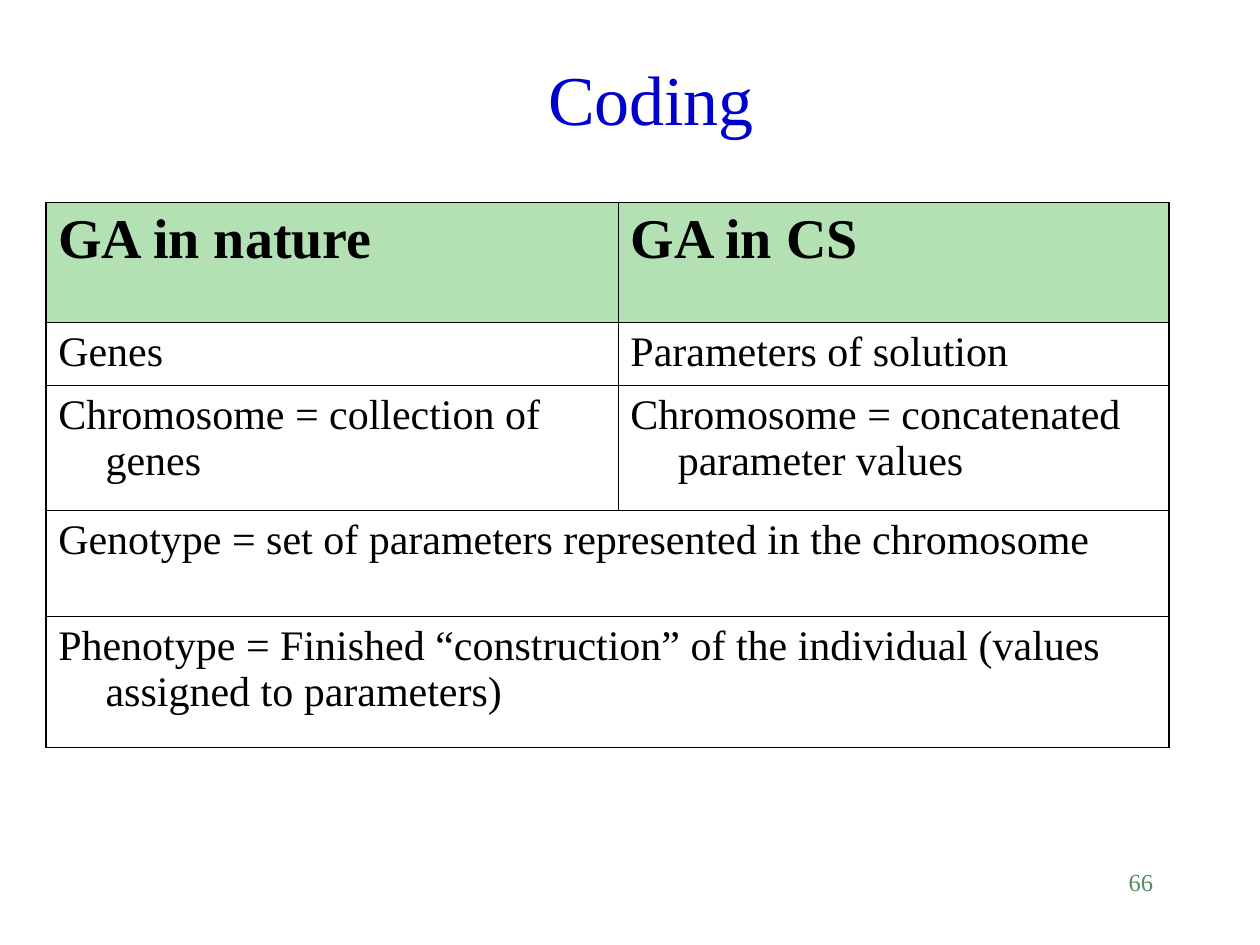
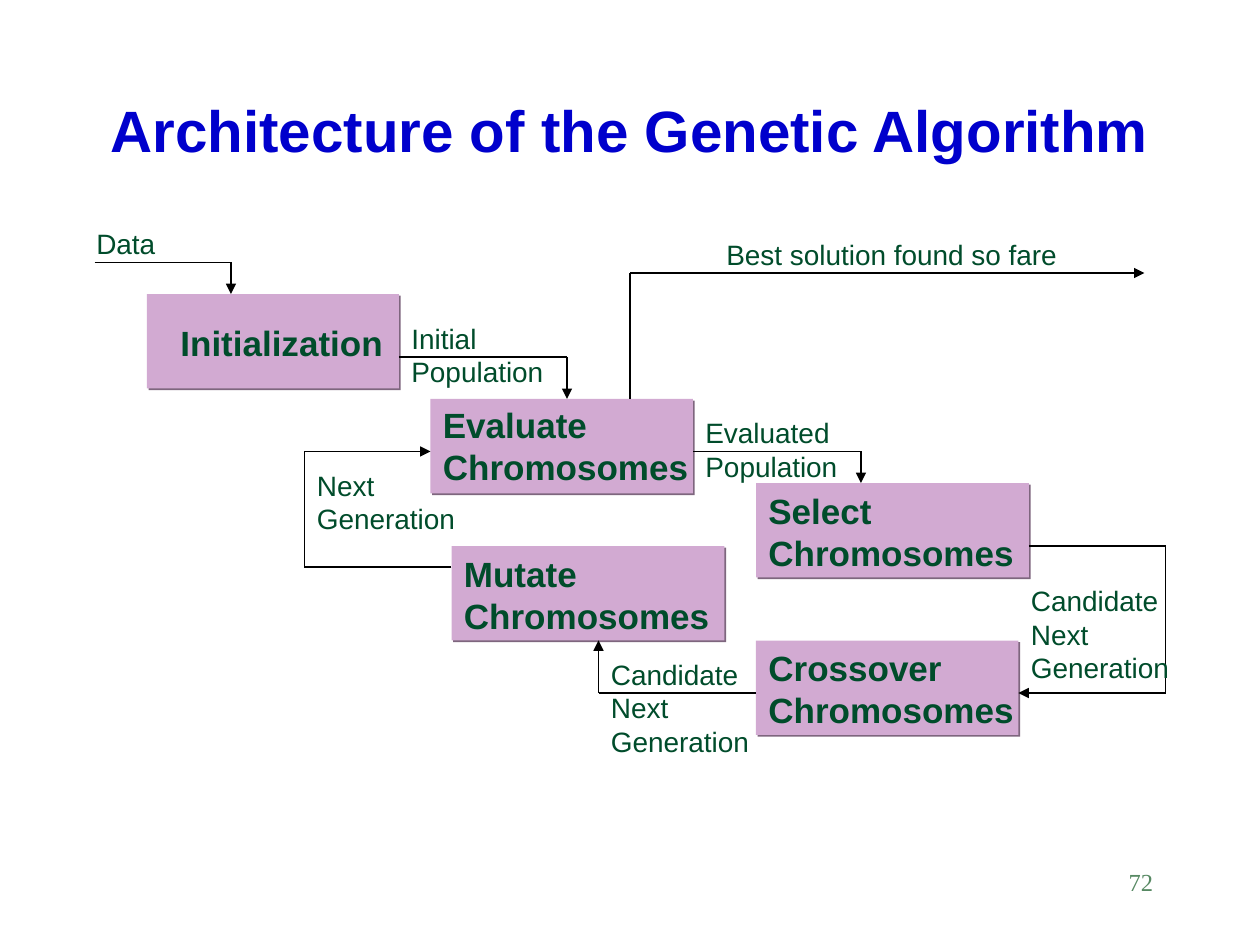
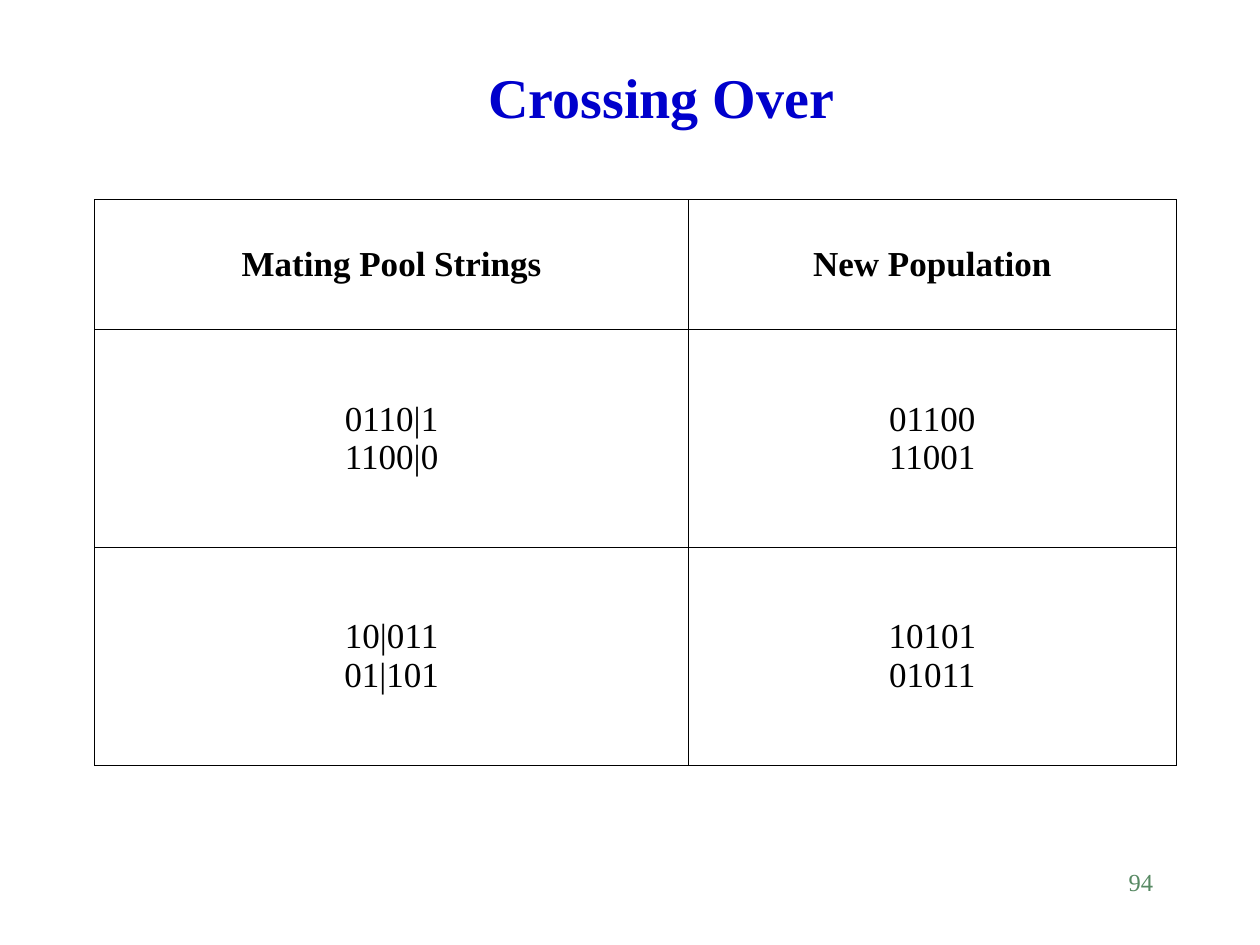
import dataclasses
import itertools

import lxml.etree
import pptx
import pptx.dml.color
import pptx.enum.shapes
import pptx.enum.text
import pptx.oxml.ns
import pptx.util

ALIGN = pptx.enum.text.PP_ALIGN
ANCHOR = pptx.enum.text.MSO_ANCHOR
AUTO_SIZE = pptx.enum.text.MSO_AUTO_SIZE
qn = pptx.oxml.ns.qn


@dataclasses.dataclass(frozen=True)
class Theme:
    # Fonts
    serif: str = "Times New Roman"
    sans: str = "Arial"
    # Colours
    title: str = "0000CC"
    number: str = "578963"
    ink: str = "000000"
    label: str = "004C2B"
    stage: str = "D2AAD2"
    shade: str = "7E667E"
    header: str = "B3E1B3"
    # Type sizes and line widths in points
    number_size: float = 14
    stage_size: float = 20
    label_size: float = 16
    route: float = 0.75
    inner: float = 0.45
    outer: float = 1.08


def grid(cells):
    """Length of grid cells; the slide is 120 columns by 90 rows."""
    return pptx.util.Inches(cells / 12)


def rgb(colour):
    return pptx.dml.color.RGBColor.from_string(colour)


def add_xml(parent, tag, **attributes):
    child = lxml.etree.SubElement(parent, qn(tag))
    for name, value in attributes.items():
        child.set(name, str(value))
    return child


class Builder:
    def __init__(self, deck, theme):
        self.deck = deck
        self.theme = theme
        self.page = None

    def style(self, frame, size, font, colour, bold=False, align=ALIGN.LEFT):
        frame.word_wrap = True
        for para in frame.paragraphs:
            para.alignment = align
            para.font.size = pptx.util.Pt(size)
            para.font.name = font
            para.font.bold = bold
            para.font.color.rgb = rgb(colour)

    def new_page(self, number):
        self.page = self.deck.slides.add_slide(self.deck.slide_layouts[5])
        self.text(str(number), 86, 82, 25, 6, self.theme.number_size,
                  self.theme.serif, self.theme.number, align=ALIGN.RIGHT)

    def title(self, text, area, size, font, bold=False, anchor=ANCHOR.BOTTOM):
        box = self.page.shapes.title
        box.left, box.top, box.width, box.height = map(grid, area)
        frame = box.text_frame
        frame.text = text
        frame.auto_size = AUTO_SIZE.NONE
        frame.vertical_anchor = anchor
        self.style(frame, size, font, self.theme.title, bold, ALIGN.CENTER)
        return frame

    def text(self, text, left, top, width, height, size, font, colour,
             bold=False, align=ALIGN.LEFT):
        box = self.page.shapes.add_textbox(*map(grid, (left, top, width, height)))
        box.text_frame.text = text
        self.style(box.text_frame, size, font, colour, bold, align)
        return box

    def label(self, text, left, top, width, lines):
        box = self.text(text, left, top, width, 1.2 + 3.2 * lines,
                        self.theme.label_size, self.theme.sans, self.theme.label)
        box.text_frame.auto_size = AUTO_SIZE.SHAPE_TO_FIT_TEXT

    def stage(self, text, left, top, width, text_area):
        """A shadowed process box with its name laid over it."""
        box = self.page.shapes.add_shape(
            pptx.enum.shapes.MSO_SHAPE.RECTANGLE, *map(grid, (left, top, width, 9)))
        box.fill.solid()
        box.fill.fore_color.rgb = rgb(self.theme.stage)
        box.line.fill.background()
        box.shadow.inherit = False
        effects = box.element.spPr.find(qn("a:effectLst"))
        shadow = add_xml(effects, "a:outerShdw", dist=pptx.util.Pt(1.4),
                         dir=45 * 60000, algn="ctr", rotWithShape=0)
        add_xml(shadow, "a:srgbClr", val=self.theme.shade)
        name = self.text(text, *text_area, self.theme.stage_size,
                         self.theme.sans, self.theme.label, bold=True)
        name.text_frame.auto_size = AUTO_SIZE.SHAPE_TO_FIT_TEXT

    def route(self, *points):
        """Straight lines through the points, with an arrowhead at the last."""
        for start, end in itertools.pairwise(points):
            line = self.page.shapes.add_connector(
                pptx.enum.shapes.MSO_CONNECTOR.STRAIGHT, *map(grid, start + end))
            line.line.width = pptx.util.Pt(self.theme.route)
            line.line.color.rgb = rgb(self.theme.ink)
            if end == points[-1]:
                add_xml(line.element.spPr.find(qn("a:ln")), "a:tailEnd", type="triangle")
            add_xml(line.element.spPr, "a:effectLst")

    def borders(self, cell, widths):
        """Draw the left, right, top and bottom border of a cell."""
        properties = cell._tc.get_or_add_tcPr()
        for place, (side, width) in enumerate(zip("LRTB", widths)):
            line = add_xml(properties, f"a:ln{side}", w=pptx.util.Pt(width))
            add_xml(add_xml(line, "a:solidFill"), "a:srgbClr", val=self.theme.ink)
            properties.insert(place, line)

    def table(self, left, top, widths, heights, rows, sizes, outer,
              header=None, align=ALIGN.LEFT, anchor=ANCHOR.TOP):
        """A two-column table; a row with a single text spans both columns."""
        frame = self.page.shapes.add_table(
            len(heights), len(widths),
            *map(grid, (left, top, sum(widths), sum(heights))))
        table = frame.table
        table.first_row = table.horz_banding = False
        for column, width in zip(table.columns, widths):
            column.width = grid(width)
        for row, height in zip(table.rows, heights):
            row.height = grid(height)

        last_row, last_column = len(heights) - 1, len(widths) - 1
        for i, texts in enumerate(rows):
            if len(texts) == 1:
                table.cell(i, 0).merge(table.cell(i, last_column))
            for j in range(len(widths)):
                cell = table.cell(i, j)
                if i == 0 and header:
                    cell.fill.solid()
                    cell.fill.fore_color.rgb = rgb(header)
                else:
                    cell.fill.background()
                at_edge = (j == 0, j == last_column or len(texts) == 1,
                           i == 0, i == last_row)
                self.borders(cell, [outer if edge else self.theme.inner
                                    for edge in at_edge])
            for j, text in enumerate(texts):
                cell = table.cell(i, j)
                cell.vertical_anchor = anchor
                cell.text_frame.text = text
                if align == ALIGN.LEFT:
                    self.hang(cell.text_frame, 4.5)
                self.style(cell.text_frame, sizes[min(i, 1)], self.theme.serif,
                           self.theme.ink, bold=i == 0, align=align)

    def hang(self, frame, indent):
        for para in frame.paragraphs:
            properties = para._p.get_or_add_pPr()
            properties.set("marL", str(grid(indent)))
            properties.set("indent", str(-grid(indent)))


def coding(build):
    build.new_page(66)
    build.title("Coding", (10, 4.4, 104, 9.5), 40, build.theme.serif)
    build.table(
        4.35, 19.3, (54.5, 52.5), (11.4, 6, 11.9, 10.1, 12.5),
        [("GA in nature", "GA in CS"),
         ("Genes", "Parameters of solution"),
         ("Chromosome = collection of genes",
          "Chromosome = concatenated parameter values"),
         ("Genotype = set of parameters represented in the chromosome",),
         ("Phenotype = Finished “construction” of the individual "
          "(values assigned to parameters)",)],
        sizes=(32, 24), outer=build.theme.outer, header=build.theme.header)


def architecture(build):
    build.new_page(72)
    frame = build.title("Architecture of the Genetic Algorithm", (9, 8, 102, 15),
                        33.3, build.theme.sans, bold=True, anchor=ANCHOR.TOP)
    frame.margin_top = grid(1.75)
    frame.paragraphs[0].line_spacing = 0.9

    # Process boxes: name, left, top, width, area of the name
    for stage in (
        ("Initialization", 14, 28, 24, (16, 30, 26, 5.2)),
        ("Evaluate Chromosomes", 41, 38, 25, (41, 37.8, 32, 9.2)),
        ("Mutate Chromosomes", 43, 52, 26, (43, 52, 27, 9.2)),
        ("Select Chromosomes", 72, 46, 26, (72, 46, 30, 9.2)),
        ("Crossover Chromosomes", 72, 61, 25, (72, 61, 29, 9.2)),
    ):
        build.stage(*stage)

    # Flow between the boxes
    for route in (
        ((9, 25), (22, 25), (22, 28)),
        ((38, 34), (54, 34), (54, 38)),
        ((66, 43), (82, 43), (82, 46)),
        ((98, 52), (111, 52), (111, 66), (97, 66)),
        ((72, 66), (57, 66), (57, 61)),
        ((43, 54), (29, 54), (29, 43), (41, 43)),
        ((60, 38), (60, 26), (109, 26)),
    ):
        build.route(*route)

    # What flows: text, left, top, width, lines
    for label in (
        ("Data", 8, 21, 11, 1),
        ("Initial Population", 38, 30, 15, 2),
        ("Evaluated Population", 66, 39, 15, 2),
        ("Candidate Next Generation", 97, 55, 16, 3),
        ("Candidate Next Generation", 57, 62, 16, 3),
        ("Next Generation", 29, 44, 16, 2),
        ("Best solution found so fare", 68, 22, 36, 1),
    ):
        build.label(*label)


def crossing_over(build):
    build.new_page(94)
    build.title("Crossing Over", (12, 3, 102, 10), 32, build.theme.serif, bold=True)
    build.table(
        9, 19, (56.6, 46.4), (12.4, 20.75, 20.75),
        [("Mating Pool Strings", "New Population"),
         ("0110|1\n1100|0", "01100\n11001"),
         ("10|011\n01|101", "10101\n01011")],
        sizes=(20, 20), outer=build.theme.inner,
        align=ALIGN.CENTER, anchor=ANCHOR.MIDDLE)


def main():
    deck = pptx.Presentation()
    deck.slide_width, deck.slide_height = grid(120), grid(90)
    build = Builder(deck, Theme())
    coding(build)
    architecture(build)
    crossing_over(build)
    deck.save("out.pptx")


if __name__ == "__main__":
    main()
